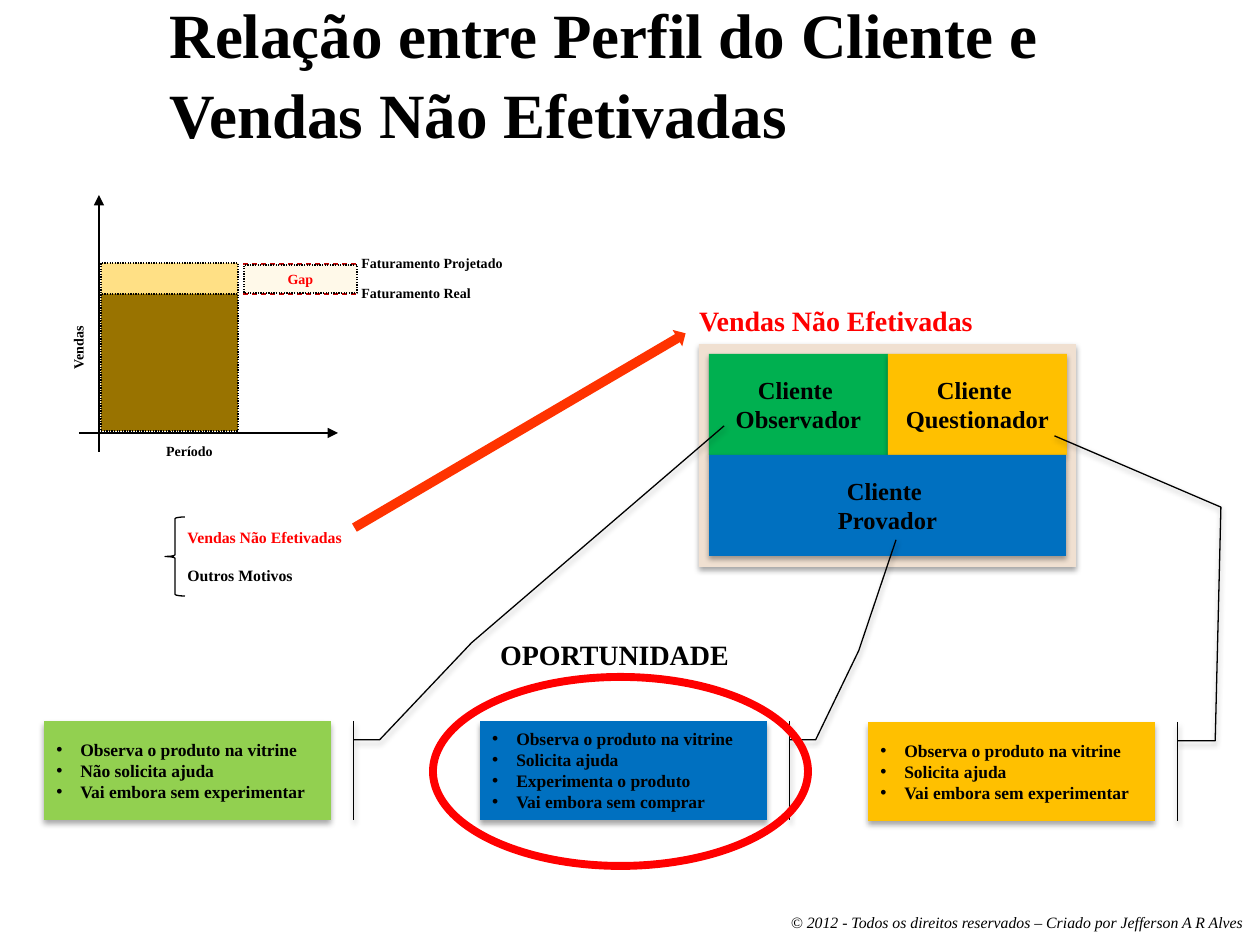
import dataclasses

import pptx
import pptx.dml.color
import pptx.enum.dml
import pptx.enum.shapes
import pptx.enum.text
import pptx.oxml
import pptx.oxml.ns
import pptx.util

SCALE = 914400 / 126
SHAPE = pptx.enum.shapes.MSO_SHAPE
ALIGN = pptx.enum.text.PP_ALIGN
ANCHOR = pptx.enum.text.MSO_ANCHOR
DASH = pptx.enum.dml.MSO_LINE
NS = 'xmlns:a="http://schemas.openxmlformats.org/drawingml/2006/main"'


@dataclasses.dataclass(frozen=True)
class Theme:
    """Colours, typeface and type sizes of the slide."""
    font: str = "Times New Roman"
    ink: str = "000000"
    accent: str = "FF0000"
    arrow: str = "FF3300"
    limit: str = "C00000"
    projected: str = "FFE085"
    real: str = "997300"
    gap: str = "FFF9E9"
    panel: str = "F0E0D1"
    green: str = "00B050"
    lime: str = "92D050"
    amber: str = "FFC000"
    blue: str = "0070C0"
    title: int = 36
    heading: int = 16
    client: int = 14
    bullet: int = 10
    note: int = 9
    chart: int = 8
    hairline: float = 0.75
    ring: float = 4.5


THEME = Theme()


def px(*lengths):
    """Turn picture pixels into EMU."""
    return [pptx.util.Emu(round(length * SCALE)) for length in lengths]


def rgb(code):
    """Turn a hex code into a colour."""
    return pptx.dml.color.RGBColor.from_string(code)


def apply(target, values):
    """Set every attribute named in a dict of format values."""
    for name, value in values.items():
        setattr(target, name, value)


def write(holder, lines, size, color=THEME.ink, align=ALIGN.LEFT,
          anchor=ANCHOR.TOP, italic=False, bullets=False):
    """Fill a shape with formatted paragraphs."""
    frame = holder.text_frame
    frame.text = "\n".join(lines)
    apply(frame, {"word_wrap": True, "vertical_anchor": anchor})
    for paragraph in frame.paragraphs:
        paragraph.alignment = align
        for run in paragraph.runs:
            apply(run.font, {"name": THEME.font, "size": pptx.util.Pt(size),
                             "bold": not italic, "italic": italic})
            run.font.color.rgb = rgb(color)
        if bullets:
            indent = px(24)[0]
            properties = paragraph._p.get_or_add_pPr()
            properties.set("marL", str(indent))
            properties.set("indent", str(-indent))
            properties.append(pptx.oxml.parse_xml(f'<a:buFont {NS} typeface="Arial"/>'))
            properties.append(pptx.oxml.parse_xml(f'<a:buChar {NS} char="•"/>'))


def label(shapes, box, text, size, **text_format):
    """Add a text box and return it."""
    caption = shapes.add_textbox(*px(*box))
    write(caption, [text], size, **text_format)
    return caption


def block(shapes, preset, box, fill=None, line=None, width=THEME.hairline,
          dash=None, raised=False):
    """Add a preset shape, optionally with a soft shadow below it."""
    part = shapes.add_shape(preset, *px(*box))
    part.shadow.inherit = False
    if fill:
        part.fill.solid()
        part.fill.fore_color.rgb = rgb(fill)
    else:
        part.fill.background()
    if line:
        part.line.color.rgb = rgb(line)
        apply(part.line, {"width": pptx.util.Pt(width), "dash_style": dash})
    else:
        part.line.fill.background()
    if raised:
        effects = part._element.spPr.find(pptx.oxml.ns.qn("a:effectLst"))
        effects.append(pptx.oxml.parse_xml(
            f'<a:outerShdw {NS} blurRad="39370" dist="22860" dir="5400000" rotWithShape="0">'
            '<a:srgbClr val="000000"><a:alpha val="35000"/></a:srgbClr></a:outerShdw>'))
    return part


def rule(shapes, start, end, color=THEME.ink, dash=None, arrow=False):
    """Draw a straight hairline, optionally with an arrowhead at its end."""
    stroke = shapes.add_connector(pptx.enum.shapes.MSO_CONNECTOR.STRAIGHT,
                                  *px(*start, *end))
    stroke.line.color.rgb = rgb(color)
    apply(stroke.line, {"width": pptx.util.Pt(THEME.hairline), "dash_style": dash})
    if arrow:
        stroke.line._get_or_add_ln().append(
            pptx.oxml.parse_xml(f'<a:tailEnd {NS} type="triangle"/>'))
    stroke._element.spPr.append(pptx.oxml.parse_xml(f"<a:effectLst {NS}/>"))


def sales_chart(slide, x, y):
    """Sketch sales over time, with the gap between projected and real."""
    for top, height, fill in ((68, 168, THEME.projected), (99, 137, THEME.real)):
        block(slide.shapes, SHAPE.RECTANGLE, (x + 22, y + top, 137, height),
              fill, THEME.ink, dash=DASH.ROUND_DOT)
    axes = slide.shapes.add_group_shape().shapes
    rule(axes, (x + 20, y + 257), (x + 20, y), arrow=True)
    rule(axes, (x, y + 238), (x + 259, y + 238), arrow=True)
    sales = label(axes, (x - 45, y + 138, 89, 30), "Vendas", THEME.chart, align=ALIGN.CENTER)
    sales.rotation = 270
    label(axes, (x + 66, y + 241, 89, 30), "Período", THEME.chart, align=ALIGN.CENTER)
    for level, name in ((99, "Faturamento Real"), (69, "Faturamento Projetado")):
        rule(slide.shapes, (x + 164, y + level), (x + 279, y + level), THEME.limit, DASH.DASH)
        label(slide.shapes, (x + 270, y + level - 16, 174, 30), name, THEME.chart)
    gap = block(slide.shapes, SHAPE.RECTANGLE, (x + 165, y + 70, 113, 28),
                THEME.gap, THEME.ink, dash=DASH.ROUND_DOT)
    write(gap, ["Gap"], THEME.chart, THEME.accent, ALIGN.CENTER, ANCHOR.MIDDLE)


def gap_causes(slide, x, y):
    """List the causes of the gap beside a brace."""
    causes = slide.shapes.add_group_shape().shapes
    block(causes, SHAPE.LEFT_BRACE, (x, y, 20, 79), line=THEME.ink)
    for top, cause, color in ((5, "Vendas Não Efetivadas", THEME.accent),
                              (43, "Outros Motivos", THEME.ink)):
        label(causes, (x + 10, y + top, 189, 32), cause, THEME.note, color=color)


def client_panel(slide, x, y):
    """Show the three client profiles on one panel under its heading."""
    panel = slide.shapes.add_group_shape().shapes
    block(panel, SHAPE.RECTANGLE, (x, y, 377, 223), THEME.panel, raised=True)
    for left, top, width, profile, fill in (
            (10, 10, 179, "Observador", THEME.green),
            (189, 10, 179, "Questionador", THEME.amber),
            (10, 111, 357, "Provador", THEME.blue)):
        client = block(panel, SHAPE.RECTANGLE, (x + left, y + top, width, 101),
                       fill, raised=True)
        write(client, ["Cliente ", profile], THEME.client,
              align=ALIGN.CENTER, anchor=ANCHOR.MIDDLE)
    label(slide.shapes, (x - 48, y - 47, 377, 47), "Vendas Não Efetivadas ",
          THEME.heading, color=THEME.accent, align=ALIGN.CENTER)


def link_arrow(slide, x, y):
    """Point from the cause to the client panel."""
    arrow = block(slide.shapes, SHAPE.RIGHT_ARROW, (x, y, 384, 19), THEME.arrow)
    arrow.rotation = 329.6
    arrow._element.spPr.xfrm.set("flipV", "1")


def behaviour(slide, x, y, fill, habits, leader):
    """Describe a client's behaviour in a callout led to its profile."""
    callout = block(slide.shapes, SHAPE.LINE_CALLOUT_3_ACCENT_BAR, (x, y, 287, 99),
                    fill, THEME.ink, raised=True)
    callout._element.spPr.xfrm.set("flipH", "1")
    for index, ratio in enumerate((0.19, -0.08, 0.19) + leader):
        callout.adjustments[index] = ratio
    write(callout, habits, THEME.bullet, anchor=ANCHOR.MIDDLE, bullets=True)


def opportunity(slide, x, y):
    """Ring the behaviour that is the opportunity."""
    block(slide.shapes, SHAPE.OVAL, (x, y, 375, 189), line=THEME.accent, width=THEME.ring)
    label(slide.shapes, (x + 53, y - 46, 257, 47), "OPORTUNIDADE", THEME.heading,
          align=ALIGN.CENTER)


def heading(slide, x, y):
    """Place the slide title."""
    title = slide.shapes.title
    apply(title, dict(zip(("left", "top", "width", "height"), px(x, y, 1087, 147))))
    write(title, ["Relação entre Perfil do Cliente e\vVendas Não Efetivadas"],
          THEME.title, anchor=ANCHOR.BOTTOM)
    title.text_frame.paragraphs[0].line_spacing = 1.05


def main():
    """Build and save the slide."""
    deck = pptx.Presentation()
    apply(deck, dict(zip(("slide_width", "slide_height"), px(1260, 945))))
    slide = deck.slides.add_slide(deck.slide_layouts[5])
    label(slide.shapes, (223, 907, 1032, 32),
          "© 2012 - Todos os direitos reservados – Criado por Jefferson A R Alves",
          THEME.note, align=ALIGN.RIGHT, italic=True)
    heading(slide, 157, 10)
    gap_causes(slide, 165, 517)
    sales_chart(slide, 79, 195)
    client_panel(slide, 699, 344)
    link_arrow(slide, 328, 421)
    look, ask = "Observa o produto na vitrine", "Solicita ajuda"
    leave = "Vai embora sem experimentar"
    behaviour(slide, 44, 721, THEME.lime, [look, "Não solicita ajuda", leave],
              (-0.17, -0.79, -0.49, -2.98, -1.37))
    behaviour(slide, 868, 722, THEME.amber, [look, ask, leave],
              (-0.21, -2.17, -0.23, -2.89, 0.35))
    behaviour(slide, 480, 721, THEME.blue,
              [look, ask, "Experimenta o produto", "Vai embora sem comprar"],
              (-0.17, -0.71, -0.32, -1.83, -0.45))
    opportunity(slide, 433, 677)
    deck.save("out.pptx")


main()
